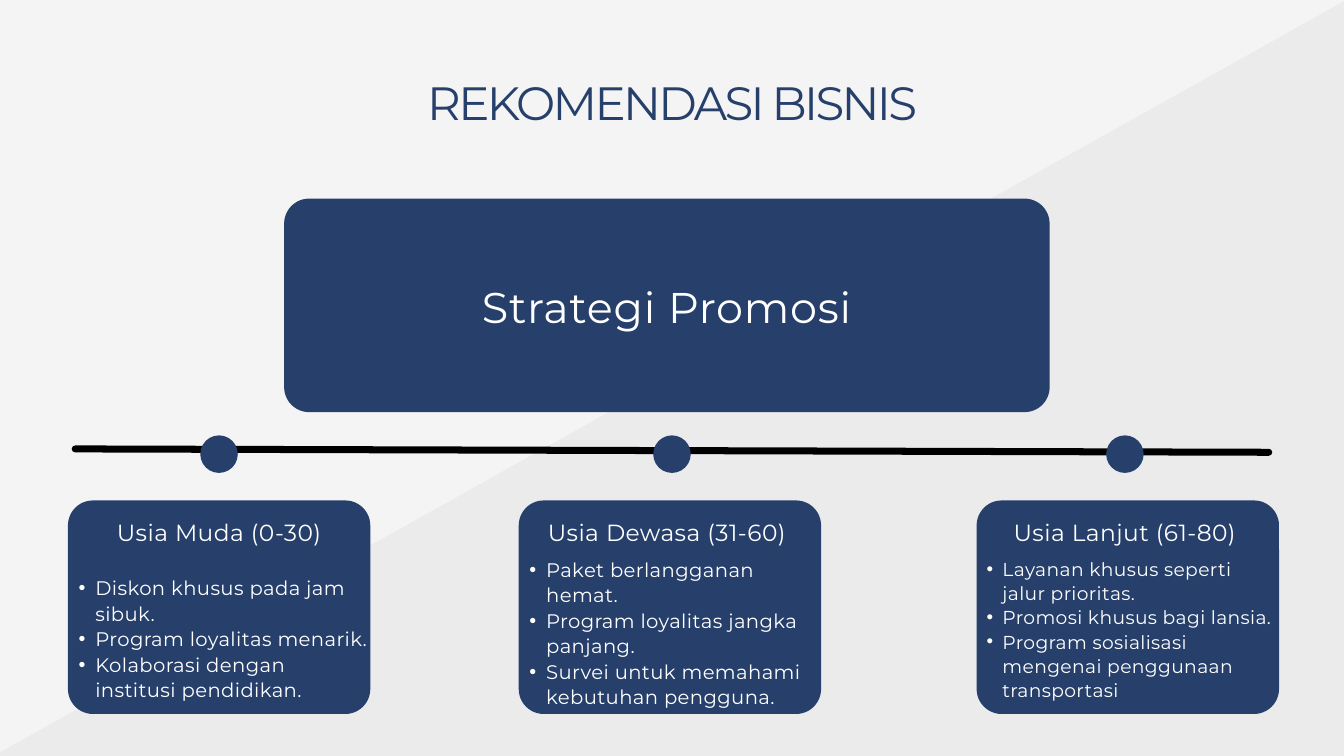
from lxml.etree import SubElement
from pptx import Presentation
from pptx.dml.color import RGBColor
from pptx.enum.shapes import MSO_CONNECTOR, MSO_SHAPE
from pptx.enum.text import PP_ALIGN
from pptx.oxml.ns import qn
from pptx.util import Pt

NAVY, WHITE, BLACK = "263F6B", "FFFFFF", "000000"
CARD_TOP, CARD_WIDTH, CARD_HEIGHT = 536.2, 324, 228.8
DOT_SIZE, DOT_STEP = 40.2, 485.3
AGE_GROUPS = [
    dict(left=72.8, label="Usia Muda (0-30)", label_left=34.5, label_width=255,
         body_top=79.2, body_height=134.6, size=21,
         ideas=["Diskon khusus pada jam sibuk.",
                "Program loyalitas menarik.",
                "Kolaborasi dengan institusi pendidikan."]),
    dict(left=555.8, label="Usia Dewasa (31-60)", label_left=19.5, label_width=278.6,
         body_top=59.2, body_height=161.3, size=21,
         ideas=["Paket berlangganan hemat.",
                "Program loyalitas jangka panjang.",
                "Survei untuk memahami kebutuhan pengguna."]),
    dict(left=1046.4, label="Usia Lanjut (61-80)", label_left=19.5, label_width=278.6,
         body_top=59.2, body_height=152.6, size=20,
         ideas=["Layanan khusus seperti jalur prioritas.",
                "Promosi khusus bagi lansia.",
                "Program sosialisasi mengenai penggunaan transportasi"]),
]


def paint(color_format, color):
    """Fill a fill format with one solid colour."""
    color_format.solid()
    color_format.fore_color.rgb = RGBColor.from_string(color)


def add_block(slide, kind, left, top, width, height, color=NAVY):
    """Add a plain filled shape without outline or shadow."""
    block = slide.shapes.add_shape(kind, Pt(left), Pt(top), Pt(width), Pt(height))
    block.shadow.inherit = False
    paint(block.fill, color)
    block.line.fill.background()
    return block


def add_panel(slide, left, top, width, height, radius=26.8):
    """Add a rounded panel with a fixed corner radius."""
    panel = add_block(slide, MSO_SHAPE.ROUNDED_RECTANGLE, left, top, width, height)
    panel.adjustments[0] = radius / min(width, height)


def add_text(slide, left, top, width, height, lines, size, color=WHITE,
             leading=1.3, tracking=0.02, bulleted=False):
    """Add centred lines or a bulleted list in a box without margins."""
    frame = slide.shapes.add_textbox(Pt(left), Pt(top), Pt(width), Pt(height)).text_frame
    frame.word_wrap = True
    frame.margin_left = frame.margin_top = frame.margin_right = frame.margin_bottom = 0
    for index, line in enumerate(lines):
        paragraph = frame.add_paragraph() if index else frame.paragraphs[0]
        if bulleted:
            properties = paragraph._p.get_or_add_pPr()
            properties.set("marL", str(Pt(size * 1.7)))
            properties.set("indent", str(-Pt(size * 0.85)))
            SubElement(properties, qn("a:buFont"), typeface="Arial")
            SubElement(properties, qn("a:buChar"), char="•")
            paragraph.level = 1
        paragraph.alignment = PP_ALIGN.LEFT if bulleted else PP_ALIGN.CENTER
        paragraph.line_spacing = Pt(size * leading)
        run = paragraph.add_run()
        run.text = line
        run.font.name = "Montserrat"
        run.font.size = Pt(size)
        run.font.color.rgb = RGBColor.from_string(color)
        run._r.get_or_add_rPr().set("spc", str(round(size * tracking * 100)))


def add_backdrop(slide):
    """Paint the background and its translucent diagonal half."""
    paint(slide.background.fill, "F4F4F4")
    diagonal = add_block(slide, MSO_SHAPE.RECTANGLE, -87.8, 342.7, 2030.4, 754.6, "545454")
    diagonal.rotation = 330.8
    tint = diagonal.fill._xPr.find(qn("a:solidFill"))[0]
    SubElement(tint, qn("a:alpha"), val="5000")


def add_timeline(slide, left, top, width, drop):
    """Draw the line and its evenly spaced dots."""
    line = slide.shapes.add_connector(MSO_CONNECTOR.STRAIGHT, Pt(left), Pt(top),
                                      Pt(left + width), Pt(top + drop))
    line.line.width = Pt(7.5)
    paint(line.line.fill, BLACK)
    line.line._get_or_add_ln().set("cap", "rnd")
    SubElement(line._element.spPr, qn("a:effectLst"))
    middle = left + width / 2
    for step in (-1, 0, 1):
        add_block(slide, MSO_SHAPE.OVAL, middle + step * DOT_STEP - DOT_SIZE / 2,
                  top - 14.5, DOT_SIZE, DOT_SIZE)


def add_strategy(slide, left, top, width, height):
    """Place the large panel with the strategy heading."""
    add_panel(slide, left, top, width, height)
    add_text(slide, left + 175, top + 83.5, width - 350, 57.6, ["Strategi Promosi"], 46)


def add_age_card(slide, left, top, width, height, group):
    """Place one age group's panel, label and ideas."""
    add_panel(slide, left, top, width, height)
    add_text(slide, left + group["label_left"], top + 16.8, group["label_width"], 31,
             [group["label"]], 25)
    add_text(slide, left - 6.3, top + group["body_top"], width + 6.3, group["body_height"],
             group["ideas"], group["size"], bulleted=True)


def main():
    """Build and save the slide."""
    deck = Presentation()
    deck.slide_width, deck.slide_height = Pt(1440), Pt(810)
    slide = deck.slides.add_slide(deck.slide_layouts[6])
    add_backdrop(slide)
    add_timeline(slide, 80.6, 481, 1278.8, 3.6)
    add_text(slide, 168, 90, 1104, 50.4, ["REKOMENDASI BISNIS"], 50, NAVY,
             leading=0.98, tracking=-0.058)
    add_strategy(slide, 304.4, 212.8, 820.2, CARD_HEIGHT)
    for group in AGE_GROUPS:
        add_age_card(slide, group["left"], CARD_TOP, CARD_WIDTH, CARD_HEIGHT, group)
    deck.save("out.pptx")


if __name__ == "__main__":
    main()
